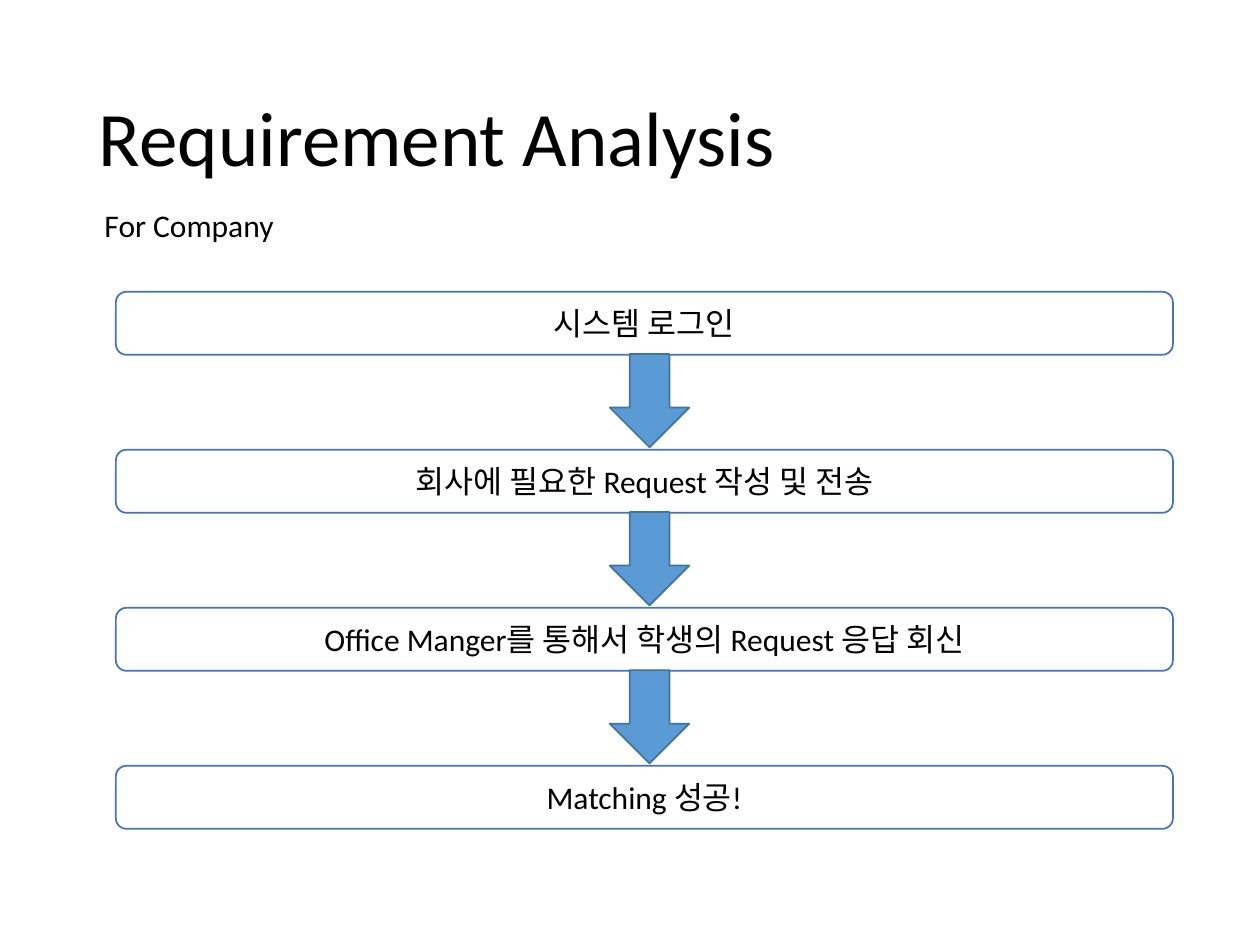
import pptx
import pptx.util
import pptx.dml.color
import pptx.enum.shapes
import pptx.enum.text

Pt = pptx.util.Pt
RGB = pptx.dml.color.RGBColor.from_string
SHAPE = pptx.enum.shapes.MSO_SHAPE
ALIGN = pptx.enum.text.PP_ALIGN
ANCHOR = pptx.enum.text.MSO_ANCHOR

theme = {
    "font": "Calibri", "title_size": 44, "body_size": 18, "text": "000000",
    "step_fill": "FFFFFF", "step_line": "4472C4",
    "arrow_fill": "5B9BD5", "arrow_line": "43739E",
}

deck = pptx.Presentation()
deck.slide_width, deck.slide_height = Pt(720), Pt(540)
slide = deck.slides.add_slide(deck.slide_layouts[6])


def write(holder, text, size, align, anchor, wrap=True):
    frame = holder.text_frame
    frame.word_wrap = wrap
    frame.vertical_anchor = anchor
    paragraph = frame.paragraphs[0]
    paragraph.alignment = align
    run = paragraph.add_run()
    run.text = text
    run.font.name = theme["font"]
    run.font.size = Pt(size)
    run.font.color.rgb = RGB(theme["text"])
    return paragraph


def add_flow_part(kind, left, top, width, height, fill, line):
    part = slide.shapes.add_shape(kind, Pt(left), Pt(top), Pt(width), Pt(height))
    part.shadow.inherit = False
    part.fill.solid()
    part.fill.fore_color.rgb = RGB(theme[fill])
    part.line.color.rgb = RGB(theme[line])
    part.line.width = Pt(1)
    return part


# Heading
title = slide.shapes.add_textbox(Pt(49.5), Pt(28.75), Pt(621), Pt(104.4))
write(title, "Requirement Analysis", theme["title_size"],
      ALIGN.LEFT, ANCHOR.MIDDLE).line_spacing = 0.9
subtitle = slide.shapes.add_textbox(Pt(52.6), Pt(114), Pt(112), Pt(29))
write(subtitle, "For Company", theme["body_size"], ALIGN.LEFT, ANCHOR.TOP, wrap=False)

# Steps, each followed by an arrow to the next
steps = [
    "시스템 로그인",
    "회사에 필요한 Request 작성 및 전송",
    "Office Manger를 통해서 학생의 Request 응답 회신",
    "Matching 성공!",
]
first_top, pitch, step_height = 166.75, 90.3, 36
for index, step_text in enumerate(steps):
    top = first_top + index * pitch
    step = add_flow_part(SHAPE.FLOWCHART_ALTERNATE_PROCESS, 66.25, top, 604,
                         step_height, "step_fill", "step_line")
    write(step, step_text, theme["body_size"], ALIGN.CENTER, ANCHOR.MIDDLE)
    if index < len(steps) - 1:
        add_flow_part(SHAPE.DOWN_ARROW, 348.5, top + step_height - 0.4, 45.4, 53.3,
                      "arrow_fill", "arrow_line")

deck.save("out.pptx")
